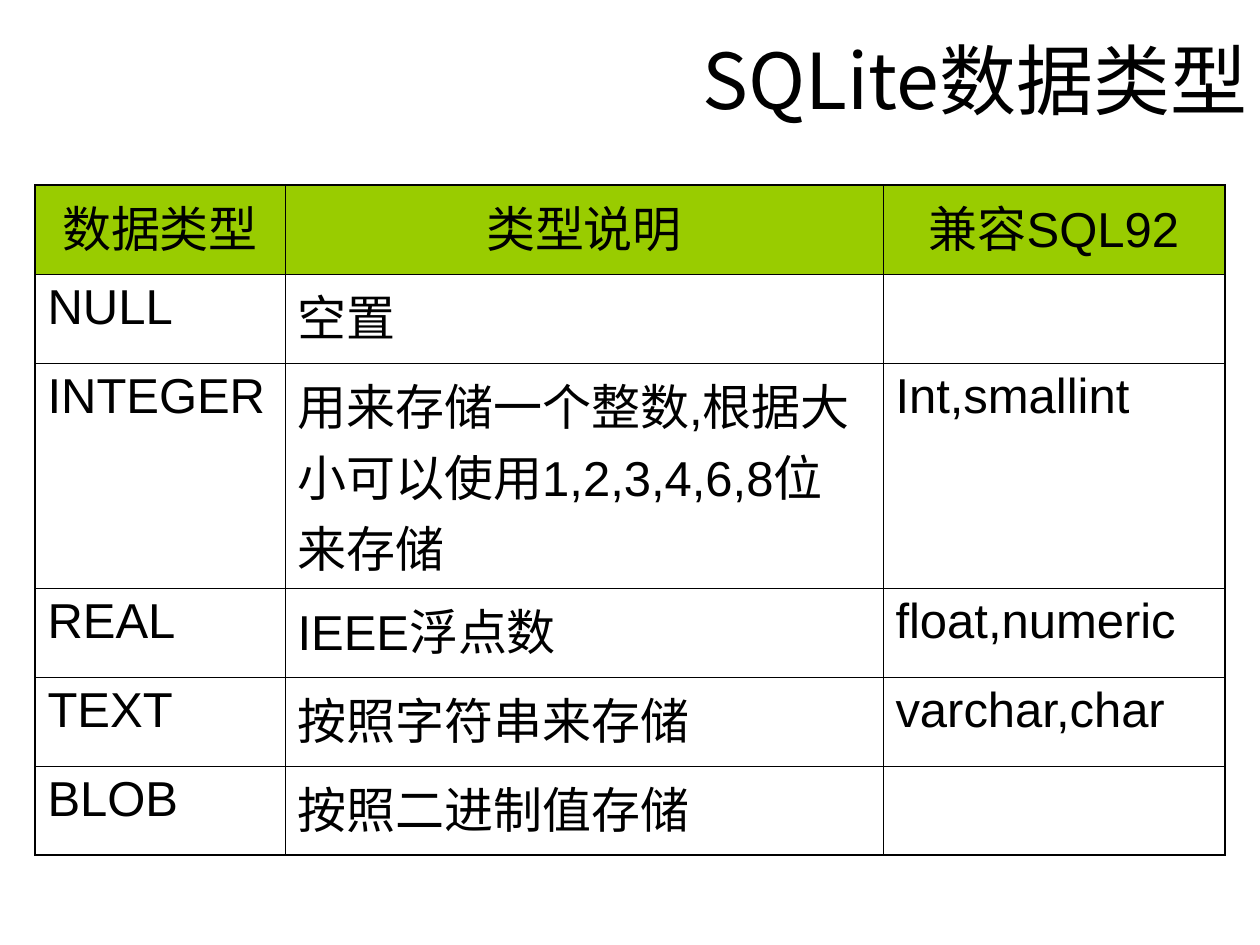
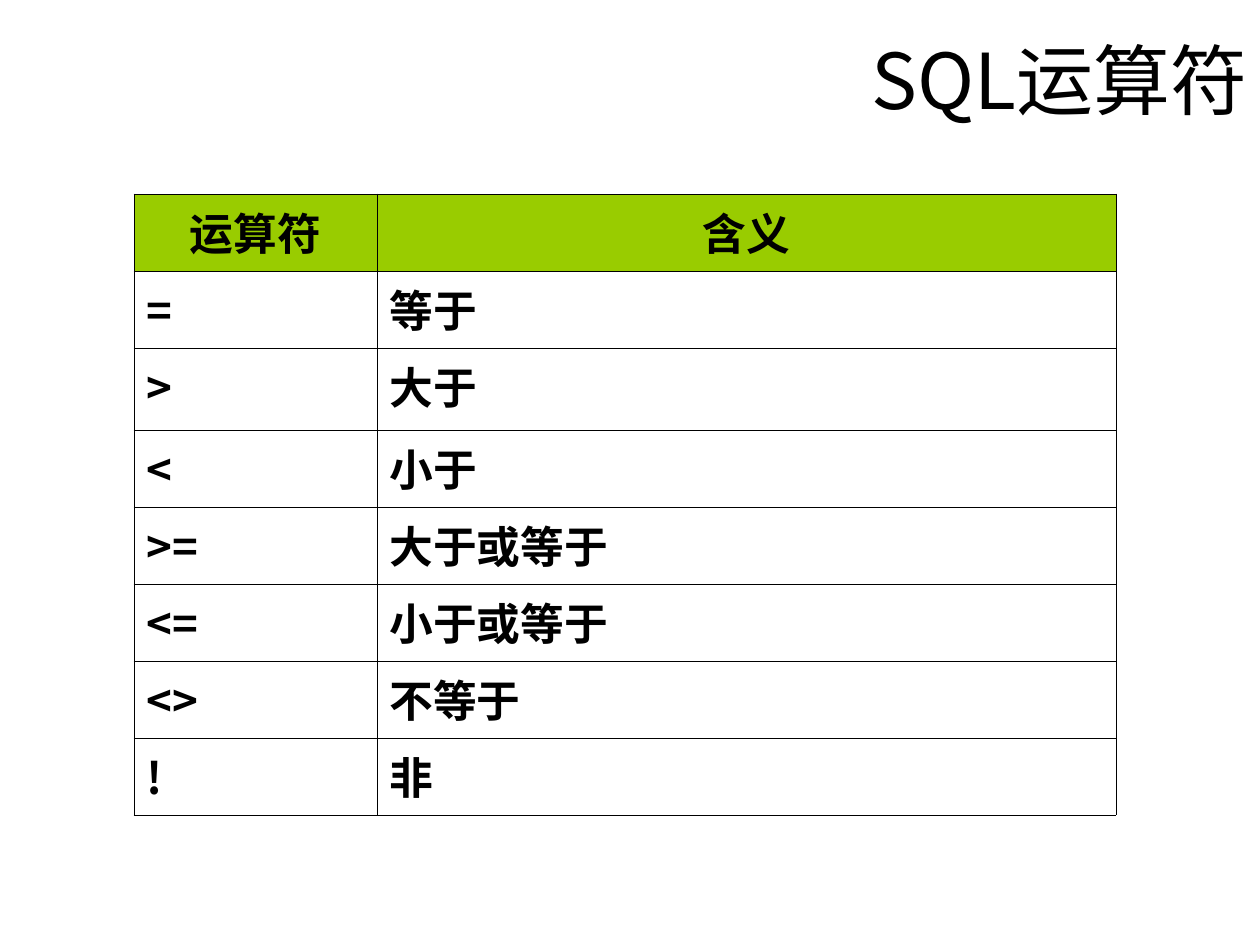
"""Build two slides of tables: SQLite data types and SQL operators."""
from lxml.etree import SubElement
from pptx import Presentation
from pptx.dml.color import RGBColor
from pptx.enum.text import MSO_ANCHOR, PP_ALIGN
from pptx.oxml.ns import qn
from pptx.util import Emu, Pt

BLACK = RGBColor(0x00, 0x00, 0x00)
LIME = RGBColor(0x99, 0xCC, 0x00)
SANS = "Noto Sans CJK SC"
THIN, THICK = 0.45, 1.08


def px(count):
    return Emu(round(count * 914400 / 126))


def write(paragraph, text, size, typeface, align, bold=False, hanging=0):
    paragraph.text = text
    paragraph.alignment = align
    if hanging:
        properties = paragraph._p.get_or_add_pPr()
        properties.set("marL", str(px(hanging)))
        properties.set("indent", str(-px(hanging)))
    font = paragraph.font
    font.size, font.bold, font.name = Pt(size), bold, typeface
    font.color.rgb = BLACK
    SubElement(font._element, qn("a:ea"), typeface=SANS)


topics = [
    {
        "title": "SQLite数据类型",
        "corner": (35, 185),
        "widths": [250, 598, 342],
        "heights": [89, 89, 225, 89, 89, 89],
        "frame": THICK,
        "style": {"size": 28, "typeface": "Arial"},
        "rows": [
            ("数据类型", "类型说明", "兼容SQL92"),
            ("NULL", "空置", ""),
            ("INTEGER", "用来存储一个整数,根据大小可以使用1,2,3,4,6,8位来存储", "Int,smallint"),
            ("REAL", "IEEE浮点数", "float,numeric"),
            ("TEXT", "按照字符串来存储", "varchar,char"),
            ("BLOB", "按照二进制值存储", ""),
        ],
    },
    {
        "title": "SQL运算符",
        "corner": (134, 194),
        "widths": [243, 739],
        "heights": [77, 77, 82, 77, 77, 77, 77, 77],
        "frame": THIN,
        "style": {"size": 25, "typeface": SANS, "bold": True, "hanging": 48},
        "rows": [
            ("运算符", "含义"),
            ("=", "等于"),
            (">", "大于"),
            ("<", "小于"),
            (">=", "大于或等于"),
            ("<=", "小于或等于"),
            ("<>", "不等于"),
            ("!", "非"),
        ],
    },
]

presentation = Presentation()
presentation.slide_width, presentation.slide_height = px(1260), px(945)

for topic in topics:
    slide = presentation.slides.add_slide(presentation.slide_layouts[6])
    title = slide.shapes.add_textbox(px(126), px(0), px(1134), px(158)).text_frame
    title.word_wrap = True
    title.vertical_anchor = MSO_ANCHOR.MIDDLE
    write(title.paragraphs[0], topic["title"], 44, SANS, PP_ALIGN.RIGHT)

    widths, heights = topic["widths"], topic["heights"]
    left, top = topic["corner"]
    table = slide.shapes.add_table(
        len(heights), len(widths), px(left), px(top), px(sum(widths)), px(sum(heights))
    ).table
    table.first_row = table.horz_banding = False
    for column, width in zip(table.columns, widths):
        column.width = px(width)
    for row, height in zip(table.rows, heights):
        row.height = px(height)

    for r, entries in enumerate(topic["rows"]):
        for c, entry in enumerate(entries):
            cell = table.cell(r, c)
            on_frame = {
                "a:lnL": c == 0,
                "a:lnR": c == len(widths) - 1,
                "a:lnT": r == 0,
                "a:lnB": r == len(heights) - 1,
            }
            cell_properties = cell._tc.get_or_add_tcPr()
            for edge, outer in on_frame.items():
                weight = Pt(topic["frame"] if outer else THIN)
                border = SubElement(cell_properties, qn(edge), w=str(weight))
                ink = SubElement(border, qn("a:solidFill"))
                SubElement(ink, qn("a:srgbClr"), val=str(BLACK))
            if r == 0:
                cell.fill.solid()
                cell.fill.fore_color.rgb = LIME
            else:
                cell.fill.background()
            if entry:
                align = PP_ALIGN.CENTER if r == 0 else PP_ALIGN.LEFT
                write(cell.text_frame.paragraphs[0], entry, align=align, **topic["style"])

presentation.save("out.pptx")
